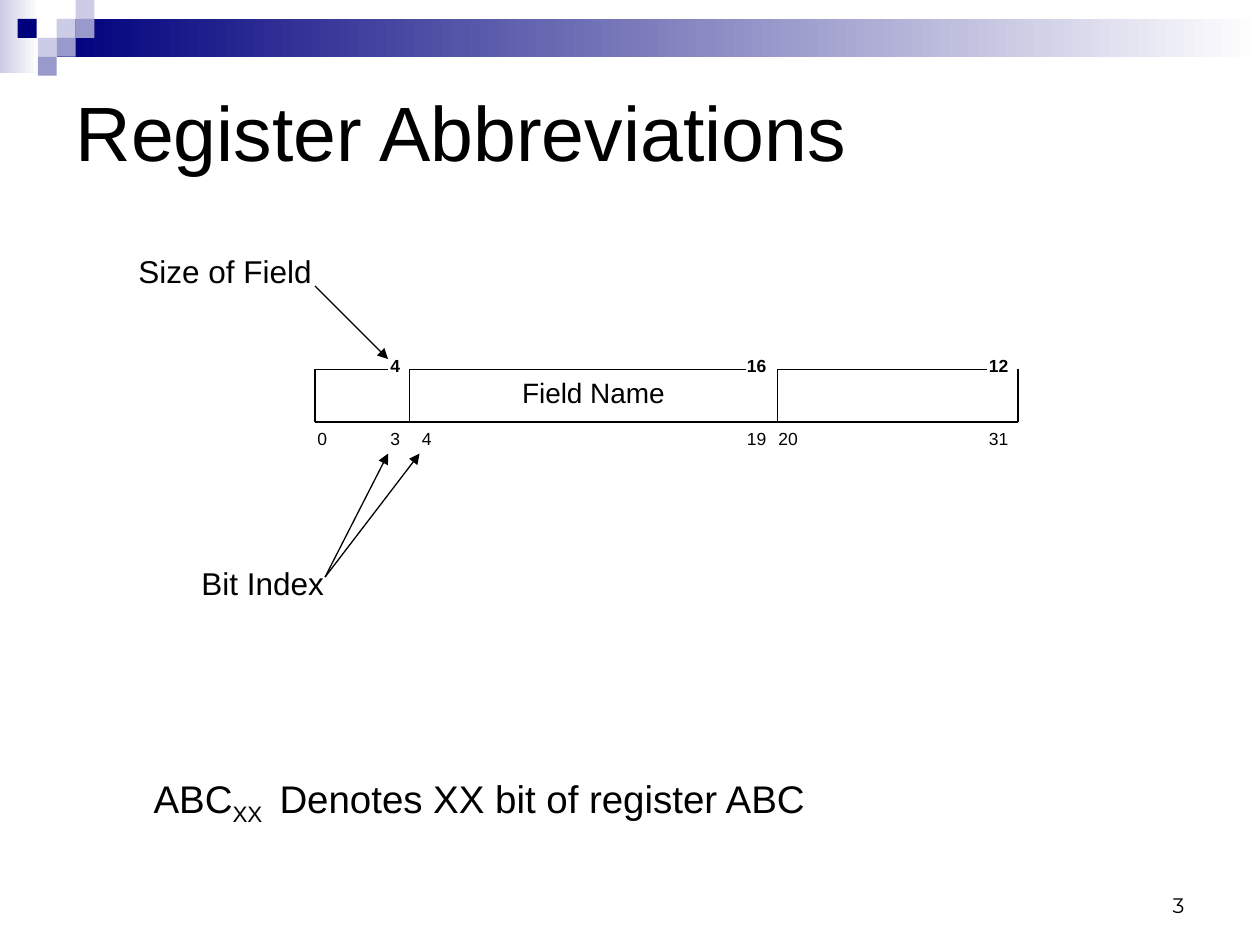
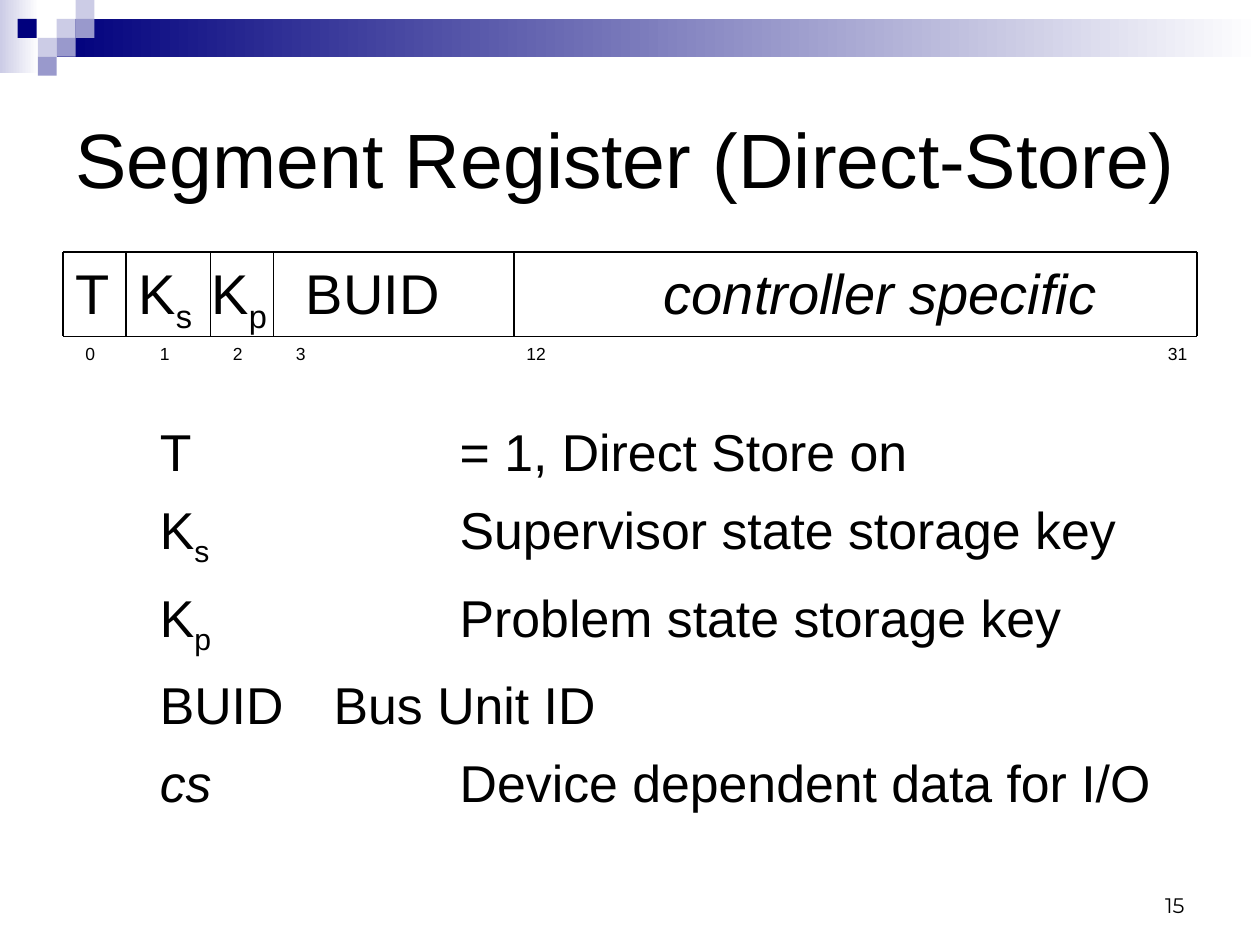
from dataclasses import dataclass

from lxml import etree
from pptx import Presentation
from pptx import util as u
from pptx.dml.color import RGBColor
from pptx.enum import shapes, text
from pptx.oxml.ns import qn

LEFT, CENTER, RIGHT = text.PP_ALIGN.LEFT, text.PP_ALIGN.CENTER, text.PP_ALIGN.RIGHT


@dataclass(frozen=True)
class Theme:
    ink: str = "000000"
    paper: str = "FFFFFF"
    navy: str = "00007D"
    lilac: str = "9999CC"
    pale: str = "CCCCE6"
    font: str = "Arial"
    number_font: str = "Montserrat"
    title: float = 44
    field: float = 32
    meaning: float = 29.6
    note: float = 22
    callout: float = 18
    field_name: float = 16
    page: float = 12
    bit: float = 10
    line: float = 0.75


def write(paragraph, content, *, size, color, font, align=LEFT, bold=False,
          italic=False, before=0, tab=None):
    """Write a string, or a list of strings and (string, style) pairs."""
    if tab is not None:
        tabs = etree.SubElement(paragraph._p.get_or_add_pPr(), qn("a:tabLst"))
        etree.SubElement(tabs, qn("a:tab"), pos=str(u.Inches(tab)), algn="l")
    paragraph.alignment = align
    paragraph.space_before = u.Pt(before)
    for part in [content] if isinstance(content, str) else content:
        words, style = (part, "") if isinstance(part, str) else part
        run = paragraph.add_run()
        run.text = words
        run.font.size = u.Pt(size)
        run.font.name = font
        run.font.bold = bold
        run.font.italic = italic or style == "italic"
        run.font.color.rgb = RGBColor.from_string(color)
        if style == "sub":
            run._r.get_or_add_rPr().set("baseline", "-25000")


class Deck:
    def __init__(self, theme):
        self.theme = theme
        self.prs = Presentation()
        self.prs.slide_width, self.prs.slide_height = u.Inches(10), u.Inches(7.5)
        self.slide = None

    def new_slide(self, heading, top, height, number):
        t = self.theme
        self.slide = self.prs.slides.add_slide(self.prs.slide_layouts[5])
        self.band()
        title = self.slide.shapes.title
        title.left, title.top, title.width, title.height = map(
            u.Inches, (0.5, top, 9, height))
        frame = title.text_frame
        frame.auto_size = text.MSO_AUTO_SIZE.NONE
        frame.vertical_anchor = text.MSO_ANCHOR.MIDDLE
        write(frame.paragraphs[0], heading, size=t.title, color=t.ink, font=t.font)
        self.label(number, 7.17, 6.83, 2.33, 0.5, size=t.page, font=t.number_font,
                   align=RIGHT, anchor=text.MSO_ANCHOR.BOTTOM)

    def block(self, left, top, width, height, color, fade=False):
        """A borderless rectangle, plain or fading to the paper at its right."""
        box = self.slide.shapes.add_shape(
            shapes.MSO_SHAPE.RECTANGLE, *map(u.Inches, (left, top, width, height)))
        box.shadow.inherit = False
        box.line.fill.background()
        if fade:
            box.fill.gradient()
            box.fill.gradient_angle = 0
            for stop, shade in zip(box.fill.gradient_stops, (color, self.theme.paper)):
                stop.color.rgb = RGBColor.from_string(shade)
        else:
            box.fill.solid()
            box.fill.fore_color.rgb = RGBColor.from_string(color)

    def band(self):
        t = self.theme
        self.block(0, 0, 0.31, 0.58, t.pale, fade=True)
        self.block(0.45, 0.15, 9.55, 0.3, t.navy, fade=True)
        for left, top, color in [
            (0.45, 0.15, t.pale), (0.6, 0, t.pale), (0.6, 0.15, t.lilac),
            (0.3, 0.3, t.pale), (0.14, 0.15, t.navy), (0.45, 0.3, t.lilac),
            (0.3, 0.45, t.lilac),
        ]:
            self.block(left, top, 0.15, 0.15, color)

    def text_box(self, left, top, width, height, anchor=text.MSO_ANCHOR.TOP):
        frame = self.slide.shapes.add_textbox(
            *map(u.Inches, (left, top, width, height))).text_frame
        frame.word_wrap = True
        frame.vertical_anchor = anchor
        return frame

    def label(self, content, left, top, width, height, *, size, font=None,
              anchor=text.MSO_ANCHOR.TOP, **style):
        frame = self.text_box(left, top, width, height, anchor)
        write(frame.paragraphs[0], content, size=size, color=self.theme.ink,
              font=font or self.theme.font, **style)

    def bits(self, top, places, bold=False):
        """A row of small numbers, each given as (number, left, width)."""
        for number, left, width in places:
            self.label(number, left, top, width, 0.27, size=self.theme.bit, bold=bold)

    def line(self, x1, y1, x2, y2, arrow=False):
        stroke = self.slide.shapes.add_connector(
            shapes.MSO_CONNECTOR.STRAIGHT, *map(u.Inches, (x1, y1, x2, y2)))
        stroke.line.color.rgb = RGBColor.from_string(self.theme.ink)
        stroke.line.width = u.Pt(self.theme.line)
        if arrow:
            etree.SubElement(stroke.line._get_or_add_ln(), qn("a:tailEnd"),
                             type="triangle")
        etree.SubElement(stroke._element.spPr, qn("a:effectLst"))

    def register(self, top, bottom, edges, top_spans):
        """An outline with a divider at each edge and a top drawn in spans."""
        self.line(edges[0], bottom, edges[-1], bottom)
        for x in edges:
            self.line(x, top, x, bottom)
        for start, end in top_spans:
            self.line(start, top, end, top)


def abbreviations(deck):
    t = deck.theme
    deck.new_slide("Register Abbreviations", 0.25, 1.58, "3")

    # Register with field sizes above and bit indexes below
    top, bottom = 2.93, 3.35
    deck.register(top, bottom, [2.5, 3.25, 6.17, 8.08],
                  [(2.5, 3.08), (3.25, 5.92), (6.17, 7.83)])
    deck.label("Field Name", 3.25, top, 2.92, 0.42, size=t.field_name, align=CENTER)
    deck.bits(2.77, [("4", 3, 0.42), ("16", 5.83, 0.42), ("12", 7.75, 0.42)], bold=True)
    deck.bits(bottom, [("0", 2.42, 0.27), ("3", 3, 0.42), ("4", 3.25, 0.42),
                       ("19", 5.83, 0.42), ("20", 6.08, 0.42), ("31", 7.75, 0.42)])

    # Callouts
    deck.label("Size of Field", 1, 1.95, 1.6, 0.4, size=t.callout)
    deck.line(2.5, 2.27, 3.08, 2.85, arrow=True)
    deck.label("Bit Index", 1.5, 4.43, 1.6, 0.4, size=t.callout)
    for index_x in (3.08, 3.33):
        deck.line(2.58, 4.58, index_x, 3.6, arrow=True)

    # Notation
    deck.label(["ABC", ("XX", "sub"), "\tDenotes XX bit of register ABC"],
               1.12, 6.1, 8.38, 0.9, size=t.note, tab=1)


def segment_register(deck):
    t = deck.theme
    deck.new_slide("Segment Register (Direct-Store)", 0.5, 1.5, "15")
    k_s, k_p = ["K", ("s", "sub")], ["K", ("p", "sub")]

    # Register with field names and bit indexes
    top, bottom = 2, 2.67
    deck.register(top, bottom, [0.5, 1, 1.67, 2.17, 4.08, 9.5], [(0.5, 9.5)])
    for name, left, width in [
        ("T", 0.5, 0.5), (k_s, 1, 0.67), (k_p, 1.58, 0.75), ("BUID", 2.33, 1.33),
        ([("controller specific", "italic")], 5.17, 4),
    ]:
        deck.label(name, left, top, width, 0.64, size=t.field)
    deck.bits(bottom, [("0", 0.58, 0.27), ("1", 1.17, 0.42), ("2", 1.75, 0.33),
                       ("3", 2.25, 0.33), ("12", 4.08, 0.42), ("31", 9.17, 0.42)])

    # Meaning of each field
    meanings = [
        (["T"], "= 1, Direct Store on", 2.38),
        (k_s, "Supervisor state storage key", 2.38),
        (k_p, "Problem state storage key", 2.38),
        (["BUID"], "Bus Unit ID", 1.38),
        ([("cs", "italic")], "Device dependent data for I/O", 2.38),
    ]
    frame = deck.text_box(1.17, 3.28, 8.25, 3.55)
    for row, (name, meaning, tab) in enumerate(meanings):
        paragraph = frame.add_paragraph() if row else frame.paragraphs[0]
        write(paragraph, name + ["\t" + meaning], size=t.meaning, color=t.ink,
              font=t.font, before=9.4 if row else 0, tab=tab)


def main():
    deck = Deck(Theme())
    abbreviations(deck)
    segment_register(deck)
    deck.prs.save("out.pptx")


if __name__ == "__main__":
    main()
